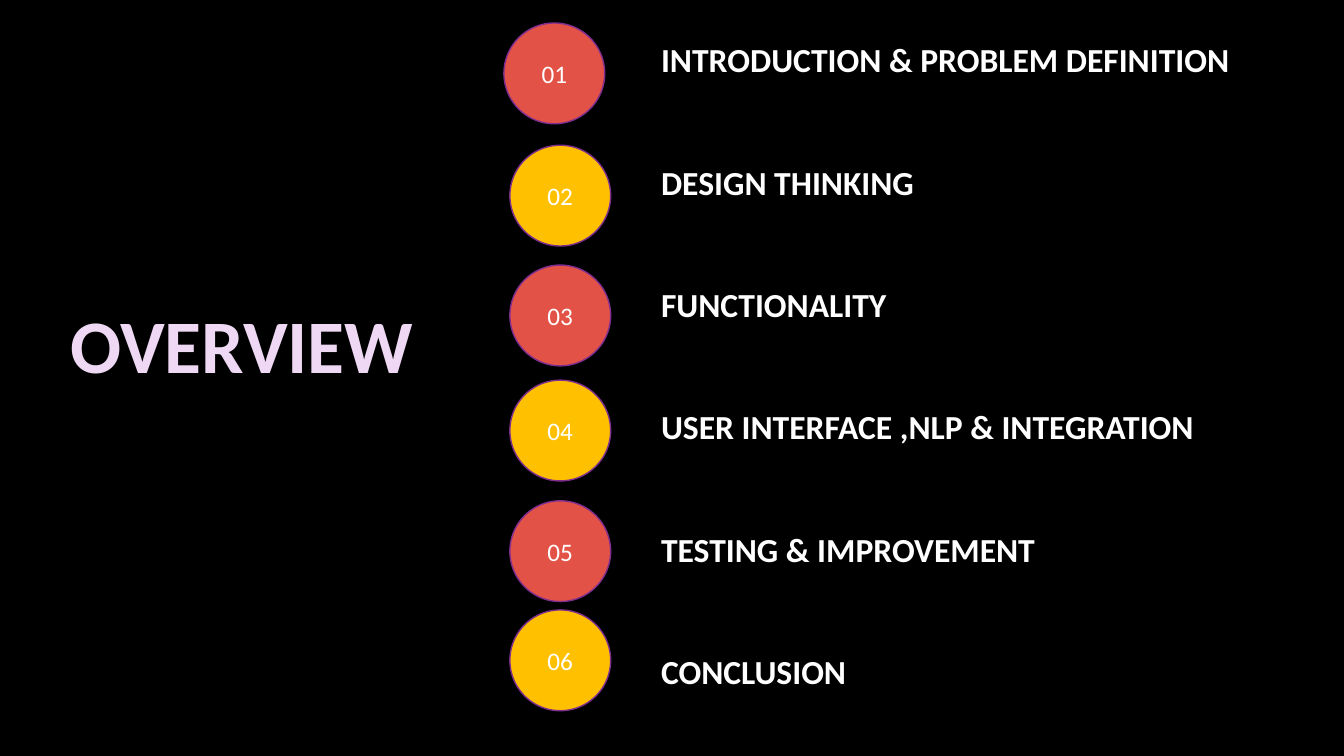
from pptx import Presentation
from pptx.dml.color import RGBColor
from pptx.enum.shapes import MSO_SHAPE
from pptx.enum.text import MSO_ANCHOR, PP_ALIGN
from pptx.util import Cm, Pt

# Content: topic, then left and top of its numbered circle in cm
TITLE = "OVERVIEW"
TOPICS = [
    ("INTRODUCTION & PROBLEM DEFINITION", 12.7, 0.58),
    ("DESIGN THINKING", 12.85, 3.66),
    ("FUNCTIONALITY", 12.85, 6.68),
    ("USER INTERFACE ,NLP & INTEGRATION", 12.85, 9.58),
    ("TESTING & IMPROVEMENT", 12.85, 12.62),
    ("CONCLUSION", 12.85, 15.37),
]
COLORS = {
    "background": "000000",
    "red": "E25247",
    "yellow": "FFC000",
    "outline": "7F2E8F",
    "title": "EED8F3",
    "text": "FFFFFF",
}
CIRCLE_SIZE = 2.54
TOPIC_GAP = 58.6
FORMATS = {
    "title": {"size": Pt(54), "bold": True},
    "topic": {"size": Pt(24), "bold": True},
    "number": {"size": Pt(18), "bold": False},
}


def color(name):
    return RGBColor.from_string(COLORS[name])


def write(para, text, style, color_name):
    span = para.add_run()
    span.text = text
    span.font.name = "Calibri"
    span.font.color.rgb = color(color_name)
    for attribute, value in FORMATS[style].items():
        setattr(span.font, attribute, value)


def add_circle(page, number, left, top):
    circle = page.shapes.add_shape(
        MSO_SHAPE.OVAL, Cm(left), Cm(top), Cm(CIRCLE_SIZE), Cm(CIRCLE_SIZE))
    circle.shadow.inherit = False
    circle.fill.solid()
    circle.fill.fore_color.rgb = color("red" if number % 2 else "yellow")
    circle.line.color.rgb = color("outline")
    circle.line.width = Pt(1)
    circle.text_frame.vertical_anchor = MSO_ANCHOR.MIDDLE
    para = circle.text_frame.paragraphs[0]
    para.alignment = PP_ALIGN.CENTER
    write(para, f"{number:02}", "number", "text")


def main():
    deck = Presentation()
    deck.slide_width, deck.slide_height = Cm(33.87), Cm(19.05)
    page = deck.slides.add_slide(deck.slide_layouts[6])
    page.background.fill.solid()
    page.background.fill.fore_color.rgb = color("background")

    # Numbered circles
    for number, (_, left, top) in enumerate(TOPICS, 1):
        add_circle(page, number, left, top)

    # Title
    box = page.shapes.add_textbox(Cm(0.99), Cm(7.39), Cm(10.21), Cm(2.57))
    box.text_frame.word_wrap = False
    para = box.text_frame.paragraphs[0]
    para.alignment = PP_ALIGN.CENTER
    write(para, TITLE, "title", "title")

    # Topics, evenly spaced in one text box
    box = page.shapes.add_textbox(Cm(16.41), Cm(0.86), Cm(14.88), Cm(16.66))
    frame = box.text_frame
    frame.word_wrap = True
    for index, (topic, _, _) in enumerate(TOPICS):
        para = frame.add_paragraph() if index else frame.paragraphs[0]
        para.space_before = Pt(TOPIC_GAP if index else 0)
        write(para, topic, "topic", "text")

    deck.save("out.pptx")


if __name__ == "__main__":
    main()
